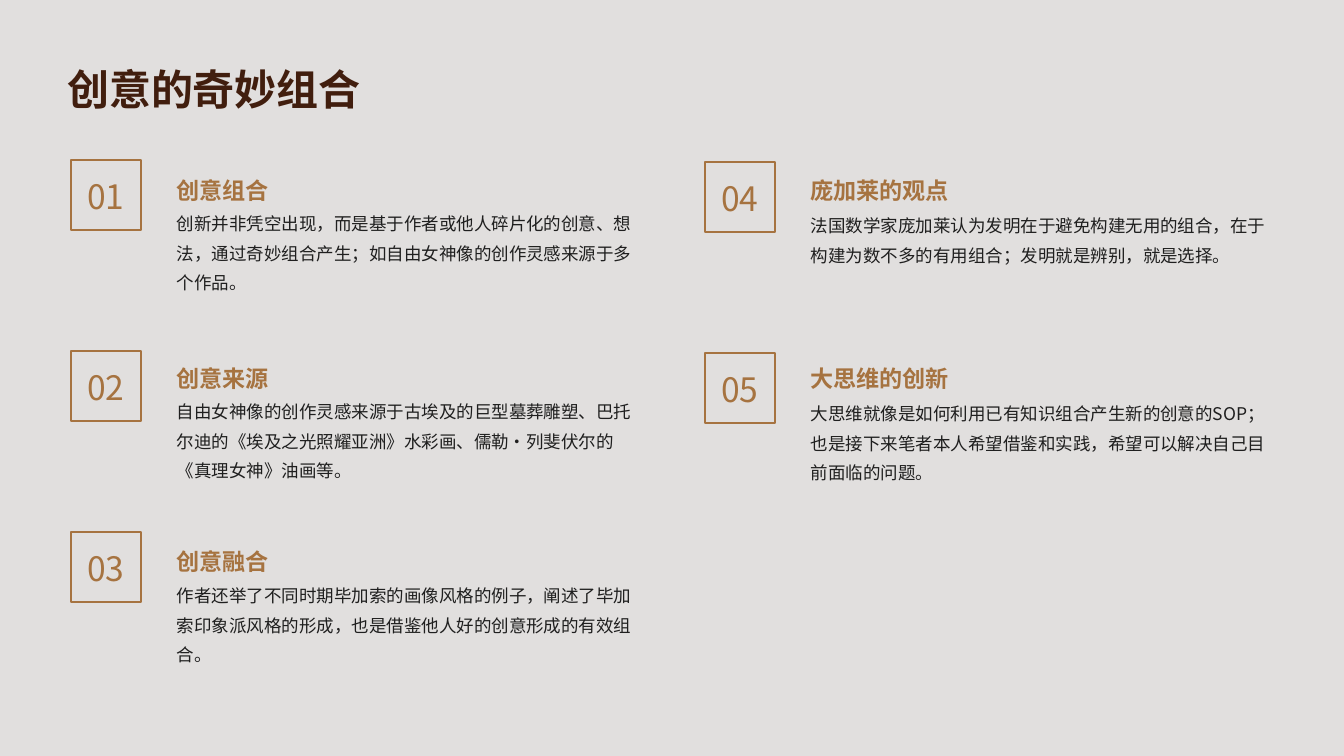
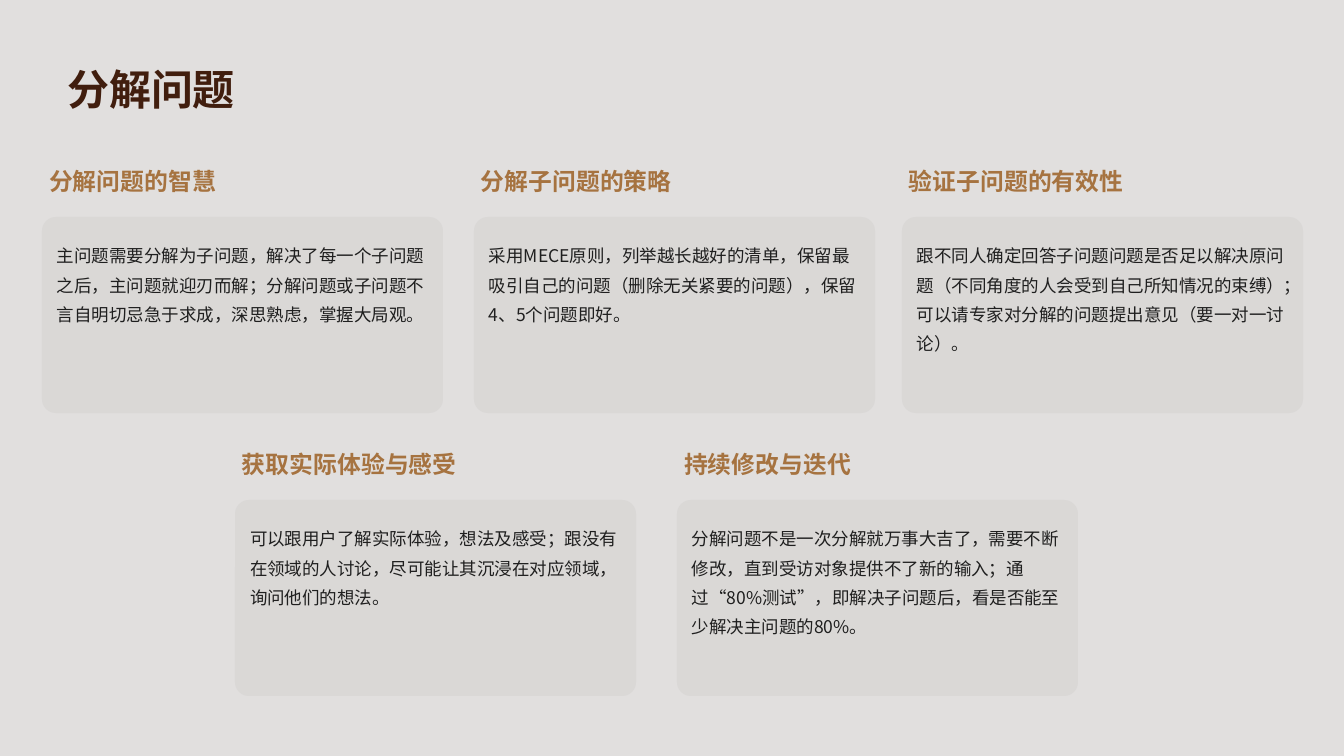
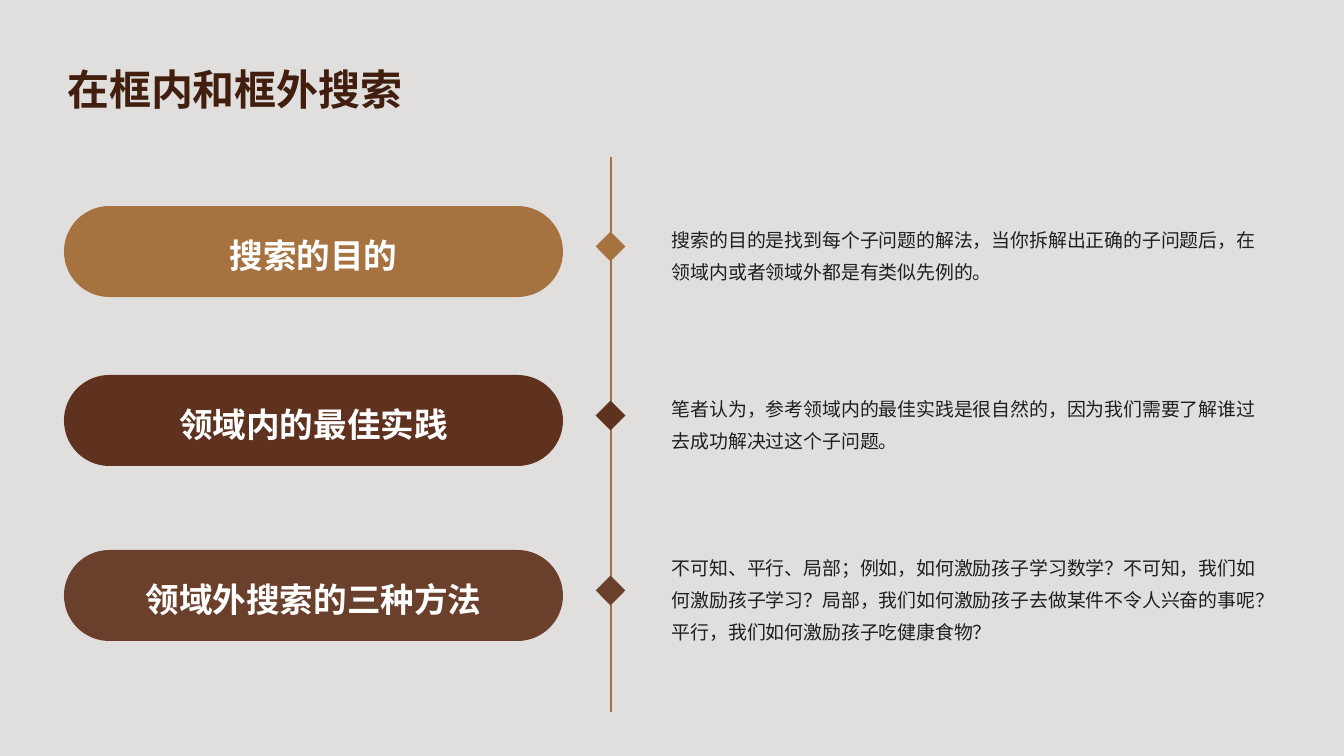
from lxml import etree
from pptx import Presentation
from pptx.dml.color import RGBColor
from pptx.enum.lang import MSO_LANGUAGE_ID
from pptx.enum.shapes import MSO_CONNECTOR, MSO_SHAPE
from pptx.enum.text import MSO_ANCHOR, MSO_AUTO_SIZE, PP_ALIGN
from pptx.oxml.ns import qn
from pptx.util import Emu, Pt

SLIDE_WIDTH, SLIDE_HEIGHT = 1344, 756
EMU_PER_PX = 12192000 / SLIDE_WIDTH
TITLE_ONLY = 5

FONT = "Noto Sans CJK SC"
CHINESE = MSO_LANGUAGE_ID.SIMPLIFIED_CHINESE
LEFT, CENTER = PP_ALIGN.LEFT, PP_ALIGN.CENTER
TOP, MIDDLE = MSO_ANCHOR.TOP, MSO_ANCHOR.MIDDLE
NO_AUTOFIT = MSO_AUTO_SIZE.NONE
RECTANGLE, ROUNDED = MSO_SHAPE.RECTANGLE, MSO_SHAPE.ROUNDED_RECTANGLE
STRAIGHT = MSO_CONNECTOR.STRAIGHT

BACKGROUND = RGBColor(0xE1, 0xDF, 0xDE)
TITLE_BROWN = RGBColor(0x41, 0x1E, 0x0E)
INK = RGBColor(0x1F, 0x1F, 0x1F)
WHITE = RGBColor(0xFF, 0xFF, 0xFF)
CARD_GREY = RGBColor(0xD6, 0xD4, 0xD2)
BRONZE = RGBColor(0xA6, 0x73, 0x40)
DARK_BROWN = RGBColor(0x5E, 0x32, 0x1F)
MID_BROWN = RGBColor(0x6A, 0x40, 0x2D)

COMBINATIONS = [
    (71, 160, 161, 199, "01", "创意组合",
     "创新并非凭空出现，而是基于作者或他人碎片化的创意、想法，通过奇妙组合产生；如自由女神像的创作灵感来源于多个作品。"),
    (71, 351, 349, 387, "02", "创意来源",
     "自由女神像的创作灵感来源于古埃及的巨型墓葬雕塑、巴托尔迪的《埃及之光照耀亚洲》水彩画、儒勒·列斐伏尔的《真理女神》油画等。"),
    (71, 532, 532, 571, "03", "创意融合",
     "作者还举了不同时期毕加索的画像风格的例子，阐述了毕加索印象派风格的形成，也是借鉴他人好的创意形成的有效组合。"),
    (705, 162, 161, 201, "04", "庞加莱的观点",
     "法国数学家庞加莱认为发明在于避免构建无用的组合，在于构建为数不多的有用组合；发明就是辨别，就是选择。"),
    (705, 353, 349, 389, "05", "大思维的创新",
     "大思维就像是如何利用已有知识组合产生新的创意的SOP；也是接下来笔者本人希望借鉴和实践，希望可以解决自己目前面临的问题。"),
]

STRATEGIES = [
    (42, 217, "分解问题的智慧",
     "主问题需要分解为子问题，解决了每一个子问题之后，主问题就迎刃而解；分解问题或子问题不言自明切忌急于求成，深思熟虑，掌握大局观。"),
    (474, 217, "分解子问题的策略",
     "采用MECE原则，列举越长越好的清单，保留最吸引自己的问题（删除无关紧要的问题），保留4、5个问题即好。"),
    (902, 217, "验证子问题的有效性",
     "跟不同人确定回答子问题问题是否足以解决原问题（不同角度的人会受到自己所知情况的束缚）；可以请专家对分解的问题提出意见（要一对一讨论）。"),
    (235, 500, "获取实际体验与感受",
     "可以跟用户了解实际体验，想法及感受；跟没有在领域的人讨论，尽可能让其沉浸在对应领域，询问他们的想法。"),
    (677, 500, "持续修改与迭代",
     "分解问题不是一次分解就万事大吉了，需要不断修改，直到受访对象提供不了新的输入；通过“80%测试”，即解决子问题后，看是否能至少解决主问题的80%。"),
]

SEARCHES = [
    (206, BRONZE, "搜索的目的",
     "搜索的目的是找到每个子问题的解法，当你拆解出正确的子问题后，在领域内或者领域外都是有类似先例的。"),
    (375, DARK_BROWN, "领域内的最佳实践",
     "笔者认为，参考领域内的最佳实践是很自然的，因为我们需要了解谁过去成功解决过这个子问题。"),
    (550, MID_BROWN, "领域外搜索的三种方法",
     "不可知、平行、局部；例如，如何激励孩子学习数学？不可知，我们如何激励孩子学习？局部，我们如何激励孩子去做某件不令人兴奋的事呢？平行，我们如何激励孩子吃健康食物？"),
]


def px(length):
    return Emu(round(length * EMU_PER_PX))


def box(*lengths):
    return [px(length) for length in lengths]


def write(shape, text, size, color, bold=False, spacing=1.0,
          align=LEFT, anchor=TOP, insets=(0, 0, 0, 0)):
    frame = shape.text_frame
    frame.word_wrap = True
    frame.auto_size = NO_AUTOFIT
    frame.vertical_anchor = anchor
    (frame.margin_left, frame.margin_top,
     frame.margin_right, frame.margin_bottom) = box(*insets)
    frame.text = text
    paragraph = frame.paragraphs[0]
    paragraph.alignment = align
    paragraph.line_spacing = spacing
    font = paragraph.font
    font.size = Pt(size)
    font.bold = bold
    font.color.rgb = color
    font.name = FONT
    font.language_id = CHINESE
    defaults = paragraph._p.pPr.find(qn("a:defRPr"))
    etree.SubElement(defaults, qn("a:ea")).set("typeface", FONT)


def add_text(slide, area, text, size, color, **style):
    write(slide.shapes.add_textbox(*box(*area)), text, size, color, **style)


def add_block(slide, preset, area, fill=None, outline=None, corner=None, opacity=None):
    block = slide.shapes.add_shape(preset, *box(*area))
    block.shadow.inherit = False
    if fill is None:
        block.fill.background()
    else:
        block.fill.solid()
        block.fill.fore_color.rgb = fill
    if outline is None:
        block.line.fill.background()
    else:
        block.line.color.rgb = outline
        block.line.width = Pt(1.5)
    if corner is not None:
        block.adjustments[0] = corner
    if opacity is not None:
        color = block._element.spPr.find(qn("a:solidFill")).find(qn("a:srgbClr"))
        etree.SubElement(color, qn("a:alpha")).set("val", str(opacity * 1000))
    return block


def add_axis(slide, x, top, bottom):
    axis = slide.shapes.add_connector(STRAIGHT, *box(x, top, x, bottom))
    axis.line.color.rgb = BRONZE
    axis.line.width = Pt(1.5)
    etree.SubElement(axis._element.spPr, qn("a:effectLst"))


def new_slide(deck, heading):
    slide = deck.slides.add_slide(deck.slide_layouts[TITLE_ONLY])
    title = slide.shapes.title
    title.left, title.top, title.width, title.height = box(53, 29, 1239, 101)
    write(title, heading, 30, TITLE_BROWN, bold=True, spacing=1.4,
          insets=(14, 14, 6, 14))
    return slide


def add_combination(slide, left, square_top, heading_top, body_top, number, heading, body):
    square = add_block(slide, RECTANGLE, (left, square_top, 70, 70), outline=BRONZE)
    write(square, number, 24, BRONZE, align=CENTER, anchor=MIDDLE, insets=(0, 2, 0, 0))
    text_left = left + 92
    add_text(slide, (text_left, heading_top, 465, 45), heading, 16.5, BRONZE,
             bold=True, spacing=1.5, anchor=MIDDLE, insets=(14, 14, 6, 14))
    add_text(slide, (text_left, body_top, 483, 125), body, 12.5, INK,
             spacing=1.4, insets=(14, 6, 6, 6))


def add_strategy(slide, left, top, heading, body):
    card = add_block(slide, ROUNDED, (left, top, 401, 196), fill=CARD_GREY,
                     corner=0.07, opacity=61)
    write(card, body, 12.5, INK, spacing=1.4, insets=(11, 16, 10, 4))
    add_text(slide, (left - 3, top - 55, 406, 61), heading, 17, BRONZE,
             bold=True, insets=(10, 5, 10, 5))


def add_search(slide, top, color, heading, body):
    pill = add_block(slide, ROUNDED, (64, top, 499, 91), fill=color, corner=0.5)
    write(pill, heading, 24, WHITE, bold=True, spacing=1.2, align=CENTER, anchor=MIDDLE)
    marker = add_block(slide, RECTANGLE, (600, top + 30, 21, 21), fill=color)
    marker.rotation = 45
    add_text(slide, (660, top - 24, 611, 139), body, 13.5, INK,
             spacing=1.4, anchor=MIDDLE, insets=(12, 6, 12, 6))


def main():
    deck = Presentation()
    deck.slide_width, deck.slide_height = box(SLIDE_WIDTH, SLIDE_HEIGHT)
    background = deck.slide_master.background.fill
    background.solid()
    background.fore_color.rgb = BACKGROUND

    combining = new_slide(deck, "创意的奇妙组合")
    for combination in COMBINATIONS:
        add_combination(combining, *combination)

    decomposing = new_slide(deck, "分解问题")
    for strategy in STRATEGIES:
        add_strategy(decomposing, *strategy)

    searching = new_slide(deck, "在框内和框外搜索")
    add_axis(searching, 611, 157, 712)
    for search in SEARCHES:
        add_search(searching, *search)

    deck.save("out.pptx")


if __name__ == "__main__":
    main()
